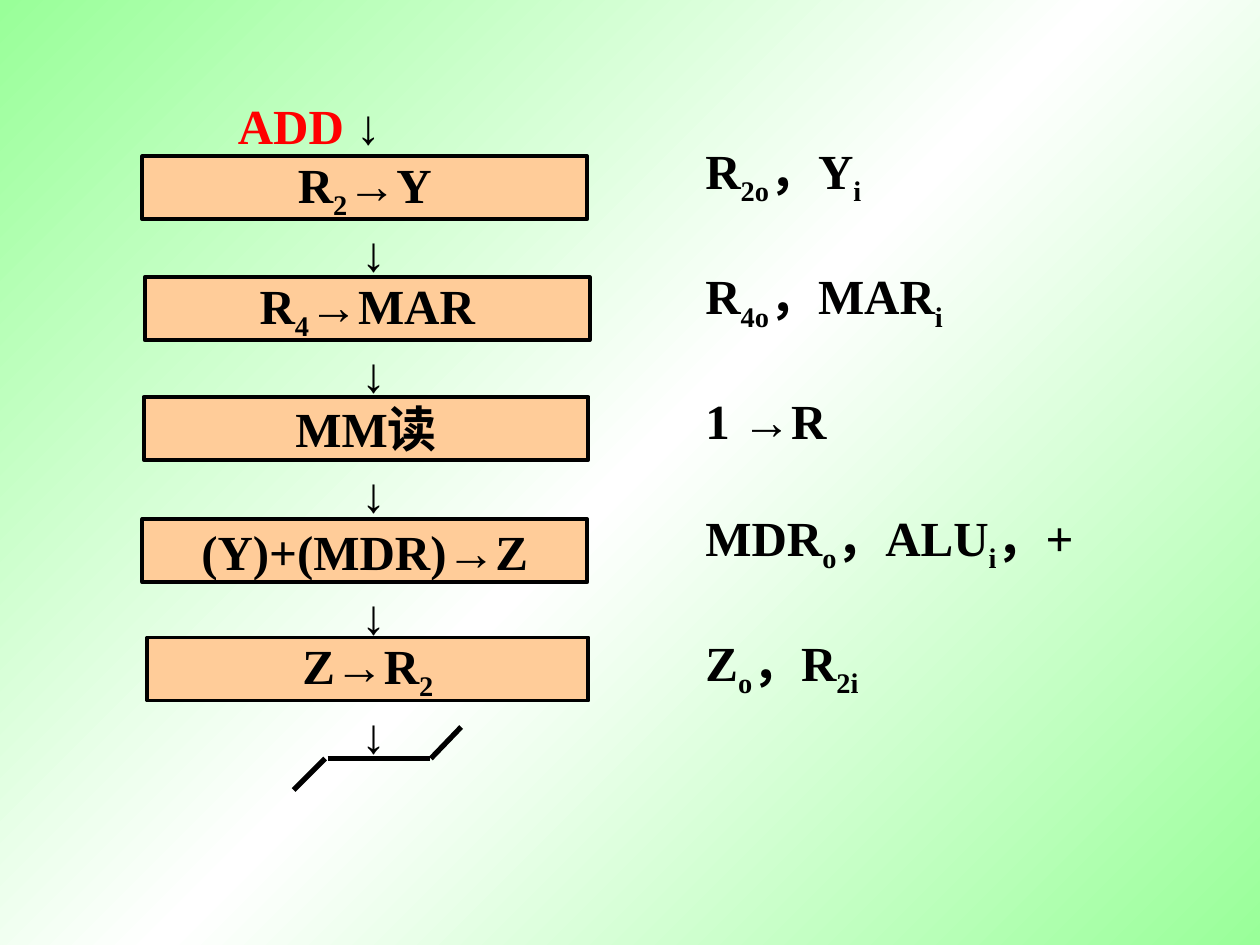
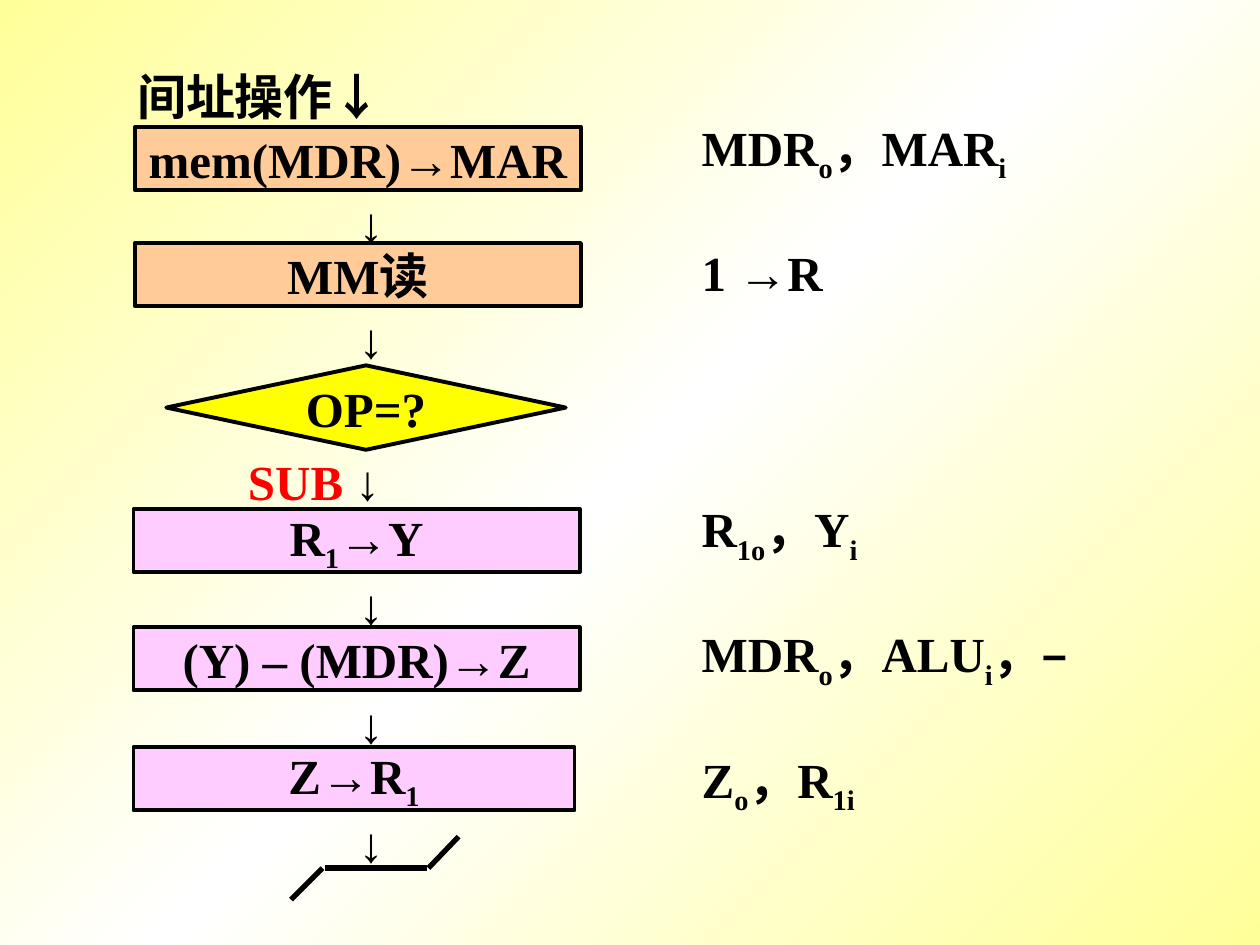
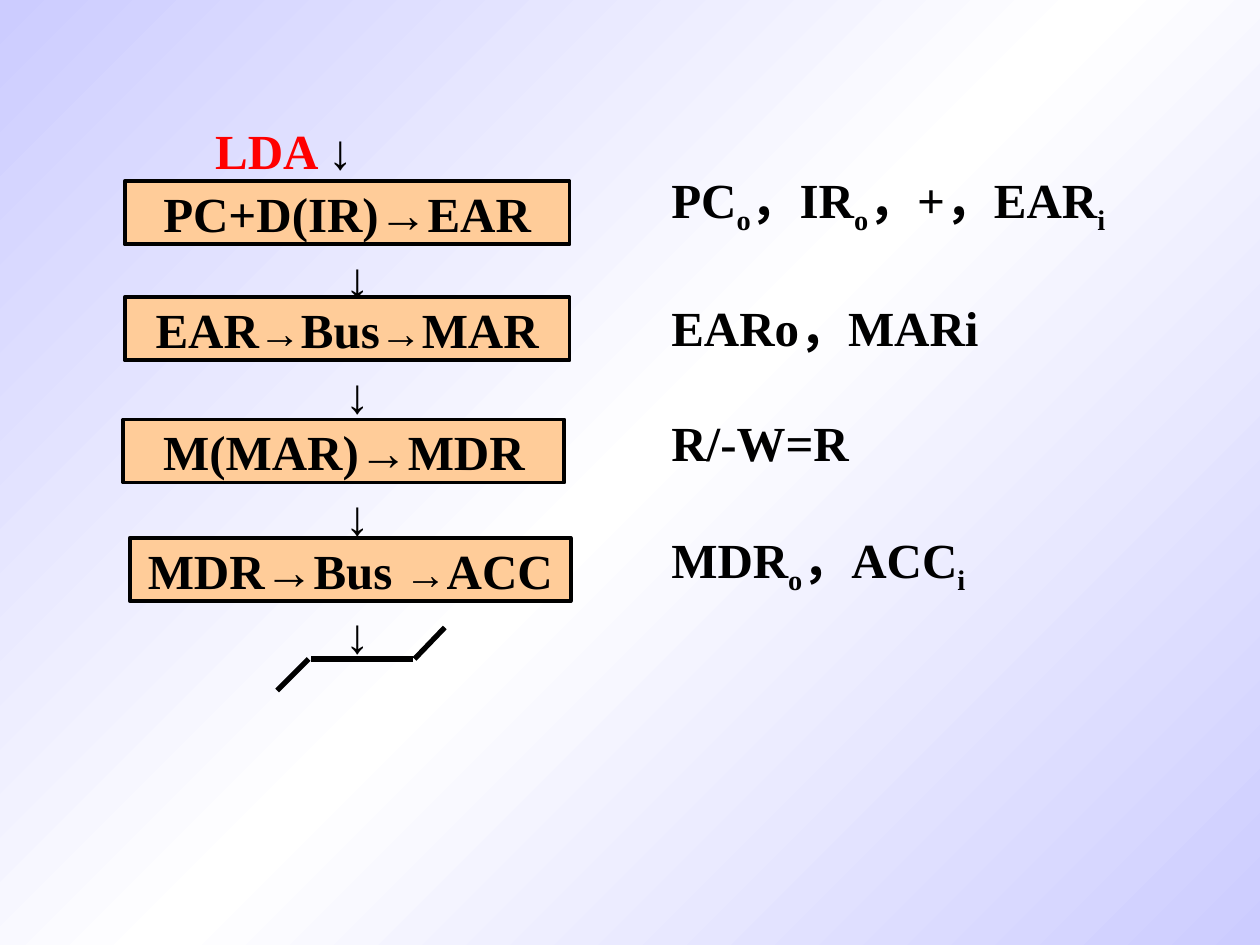
from copy import deepcopy
from dataclasses import dataclass
from itertools import groupby

from lxml.etree import SubElement
from pptx import Presentation
from pptx.dml.color import RGBColor
from pptx.enum.shapes import MSO_CONNECTOR, MSO_SHAPE
from pptx.enum.text import MSO_ANCHOR, PP_ALIGN
from pptx.oxml.ns import qn
from pptx.util import Inches, Pt

BLACK = RGBColor(0x00, 0x00, 0x00)
WHITE = RGBColor(0xFF, 0xFF, 0xFF)
RED = RGBColor(0xFF, 0x00, 0x00)
ORANGE = RGBColor(0xFF, 0xCC, 0x99)
PINK = RGBColor(0xFF, 0xCC, 0xFF)
YELLOW = RGBColor(0xFF, 0xFF, 0x00)
PALE_GREEN = RGBColor(0x99, 0xFF, 0x99)
PALE_YELLOW = RGBColor(0xFF, 0xFF, 0x99)
PALE_BLUE = RGBColor(0xCC, 0xCC, 0xFF)

TEXT_FONT = "Times New Roman"
ARROW_FONT = "Arial"
ARROWS = "→↓"
TEXT_SIZE = Pt(28)
SMALL_ARROW_SIZE = Pt(24)
SIGNAL_LINE = Pt(38)

STEP_HEIGHT = 0.5
ARROW_DROP = 0.48
EXIT_DROP = 0.96


@dataclass
class Step:
    """A box of the flow; small_runs numbers the runs set in the small size."""
    left: float
    top: float
    width: float
    text: str
    fill: RGBColor = ORANGE
    small_runs: tuple = ()


def add_runs(p, text, color=BLACK):
    """Write text whose [bracketed] parts are subscripts; arrows stay black."""
    for i, chunk in enumerate(text.replace("]", "[").split("[")):
        for is_arrow, chars in groupby(chunk, key=lambda c: c in ARROWS):
            r = p.add_run()
            r.text = "".join(chars)
            r.font.name = ARROW_FONT if is_arrow else TEXT_FONT
            r.font.size = TEXT_SIZE
            r.font.bold = True
            r.font.color.rgb = BLACK if is_arrow else color
            if i % 2:
                r.font._element.set("baseline", "-25000")


def add_background(slide, color):
    """Diagonal gradient from color through white and back."""
    fill = slide.background.fill
    fill.gradient()
    stops = slide._element.find(".//" + qn("a:gsLst"))
    stops.append(deepcopy(stops[-1]))
    for stop, position, rgb in zip(fill.gradient_stops, (0, 0.5, 1), (color, WHITE, color)):
        stop.position = position
        stop.color.rgb = rgb
    fill.gradient_angle = 315


def add_text(slide, left, top, width, height, anchor=MSO_ANCHOR.MIDDLE, wrap=True):
    box = slide.shapes.add_textbox(Inches(left), Inches(top), Inches(width), Inches(height))
    tf = box.text_frame
    tf.word_wrap = wrap
    tf.vertical_anchor = anchor
    return tf


def add_label(slide, left, top, text, color):
    tf = add_text(slide, left, top, 2.4, STEP_HEIGHT)
    add_runs(tf.paragraphs[0], text, color)


def add_flow_shape(slide, kind, left, top, width, height, text, color):
    sp = slide.shapes.add_shape(kind, Inches(left), Inches(top), Inches(width), Inches(height))
    sp.shadow.inherit = False
    sp.fill.solid()
    sp.fill.fore_color.rgb = color
    sp.line.color.rgb = BLACK
    sp.line.width = Pt(2.25)
    tf = sp.text_frame
    tf.word_wrap = False
    tf.vertical_anchor = MSO_ANCHOR.MIDDLE
    p = tf.paragraphs[0]
    p.alignment = PP_ALIGN.CENTER
    add_runs(p, text)
    return p


def add_down_arrow(slide, left, top):
    tf = add_text(slide, left, top, 0.35, 0.57, MSO_ANCHOR.TOP, wrap=False)
    add_runs(tf.paragraphs[0], "↓")


def add_line(slide, x1, y1, x2, y2):
    line = slide.shapes.add_connector(
        MSO_CONNECTOR.STRAIGHT, Inches(x1), Inches(y1), Inches(x2), Inches(y2))
    line.line.color.rgb = BLACK
    line.line.width = Pt(3)
    SubElement(line._element.spPr, qn("a:effectLst"))


def add_exit(slide, left, y):
    """Bent stroke that closes the flow."""
    right = left + 0.81
    add_line(slide, left, y, right, y)
    add_line(slide, left - 0.02, y, left - 0.27, y + 0.25)
    add_line(slide, right + 0.25, y - 0.25, right + 0.01, y)


def add_flow(slide, arrow_left, steps):
    for step in steps:
        p = add_flow_shape(slide, MSO_SHAPE.FLOWCHART_PROCESS, step.left, step.top,
                           step.width, STEP_HEIGHT, step.text, step.fill)
        for i in step.small_runs:
            p.runs[i].font.size = SMALL_ARROW_SIZE
        add_down_arrow(slide, arrow_left, step.top + ARROW_DROP)
    add_exit(slide, arrow_left - 0.17, steps[-1].top + EXIT_DROP)


def add_signals(slide, left, top, width, height, signals):
    """Control signals, each given as the points of space before it and its text."""
    tf = add_text(slide, left, top, width, height)
    for i, (gap, text) in enumerate(signals):
        p = tf.add_paragraph() if i else tf.paragraphs[0]
        p.line_spacing = SIGNAL_LINE
        if i:
            p.space_before = Pt(gap)
        add_runs(p, text)


def new_slide(prs, color):
    slide = prs.slides.add_slide(prs.slide_layouts[6])
    add_background(slide, color)
    return slide


def build_add(prs):
    slide = new_slide(prs, PALE_GREEN)
    add_signals(slide, 5.5, 1.11, 3.98, 4.45, [
        (0, "R[2o]，Y[i]"),
        (33.5, "R[4o]，MAR[i]"),
        (28.5, "1 →R"),
        (33.5, "MDR[o]，ALU[i]，+"),
        (33.5, "Z[o]，R[2i]"),
    ])
    add_label(slide, 1.79, 0.74, "ADD ↓", RED)
    add_flow(slide, 2.77, [
        Step(1.13, 1.24, 3.53, "R[2]→Y"),
        Step(1.15, 2.2, 3.53, "R[4]→MAR"),
        Step(1.14, 3.15, 3.53, "MM读"),
        Step(1.13, 4.12, 3.53, "(Y)+(MDR)→Z"),
        Step(1.17, 5.06, 3.5, "Z→R[2]"),
    ])


def build_sub(prs):
    slide = new_slide(prs, PALE_YELLOW)
    add_signals(slide, 5.47, 0.91, 3.42, 5.59, [
        (0, "MDR[o]，MAR[i]"),
        (29, "1 →R"),
        (113, "R[1o]，Y[i]"),
        (33.5, "MDR[o]，ALU[i]，–"),
        (33.5, "Z[o]，R[1i]"),
    ])
    add_label(slide, 0.99, 0.51, "间址操作↓", BLACK)
    add_label(slide, 1.87, 3.57, "SUB ↓", RED)
    add_flow(slide, 2.75, [
        Step(1.07, 1.01, 3.54, "mem(MDR)→MAR"),
        Step(1.07, 1.93, 3.54, "MM读"),
        Step(1.06, 4.04, 3.54, "R[1]→Y", PINK),
        Step(1.06, 4.98, 3.54, "(Y) – (MDR)→Z", PINK),
        Step(1.06, 5.93, 3.5, "Z→R[1]", PINK),
    ])
    add_flow_shape(slide, MSO_SHAPE.FLOWCHART_DECISION, 1.32, 2.9, 3.17, 0.67, "OP=?", YELLOW)


def build_lda(prs):
    slide = new_slide(prs, PALE_BLUE)
    add_signals(slide, 5.23, 1.23, 4.02, 3.62, [
        (0, "PC[o]，IR[o]，+，EAR[i]"),
        (31, "EARo，MARi"),
        (27.5, "R/-W=R"),
        (33.5, "MDR[o]，ACC[i]"),
    ])
    add_label(slide, 1.61, 0.94, "LDA ↓", RED)
    add_flow(slide, 2.64, [
        Step(0.99, 1.44, 3.53, "PC+D(IR)→EAR"),
        Step(0.99, 2.36, 3.53, "EAR→Bus→MAR", small_runs=(1, 3)),
        Step(0.98, 3.33, 3.5, "M(MAR)→MDR"),
        Step(1.03, 4.27, 3.5, "MDR→Bus →ACC", small_runs=(3,)),
    ])


def main():
    prs = Presentation()
    prs.slide_width = Inches(10)
    prs.slide_height = Inches(7.5)
    build_add(prs)
    build_sub(prs)
    build_lda(prs)
    prs.save("out.pptx")


if __name__ == "__main__":
    main()
